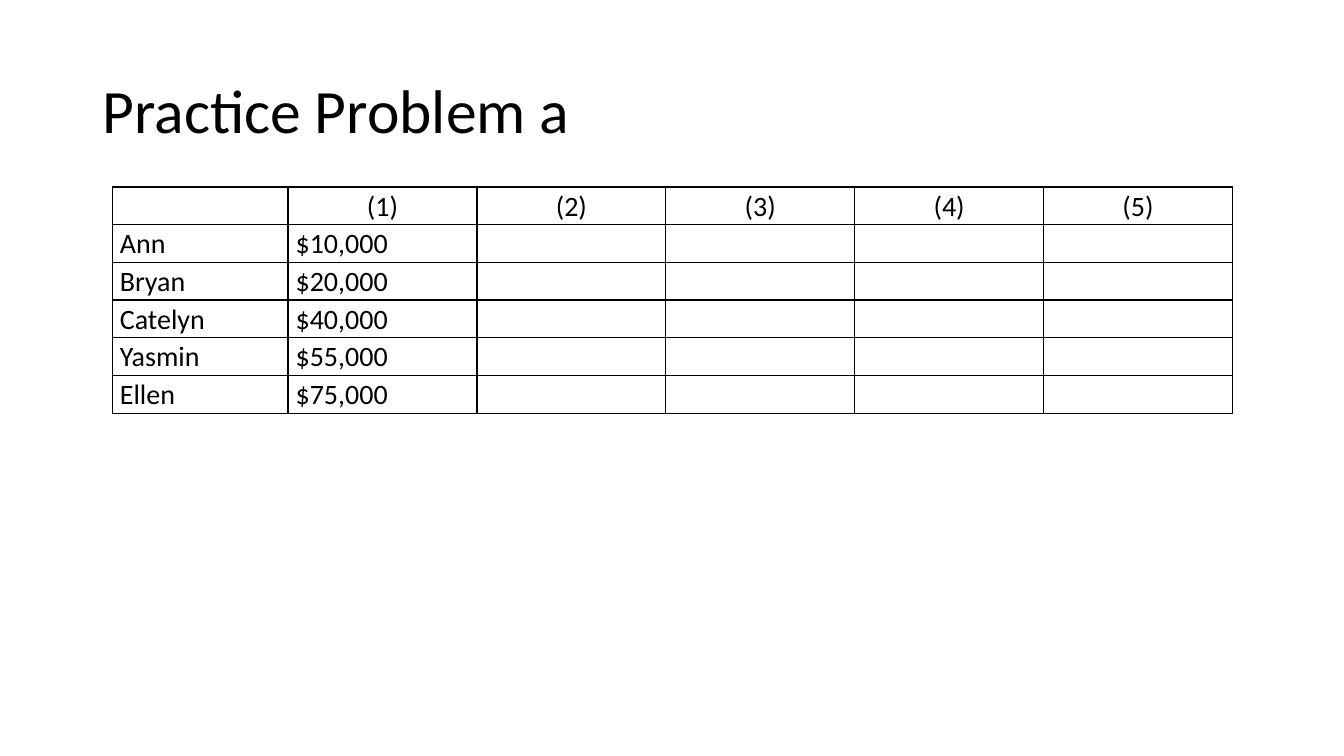
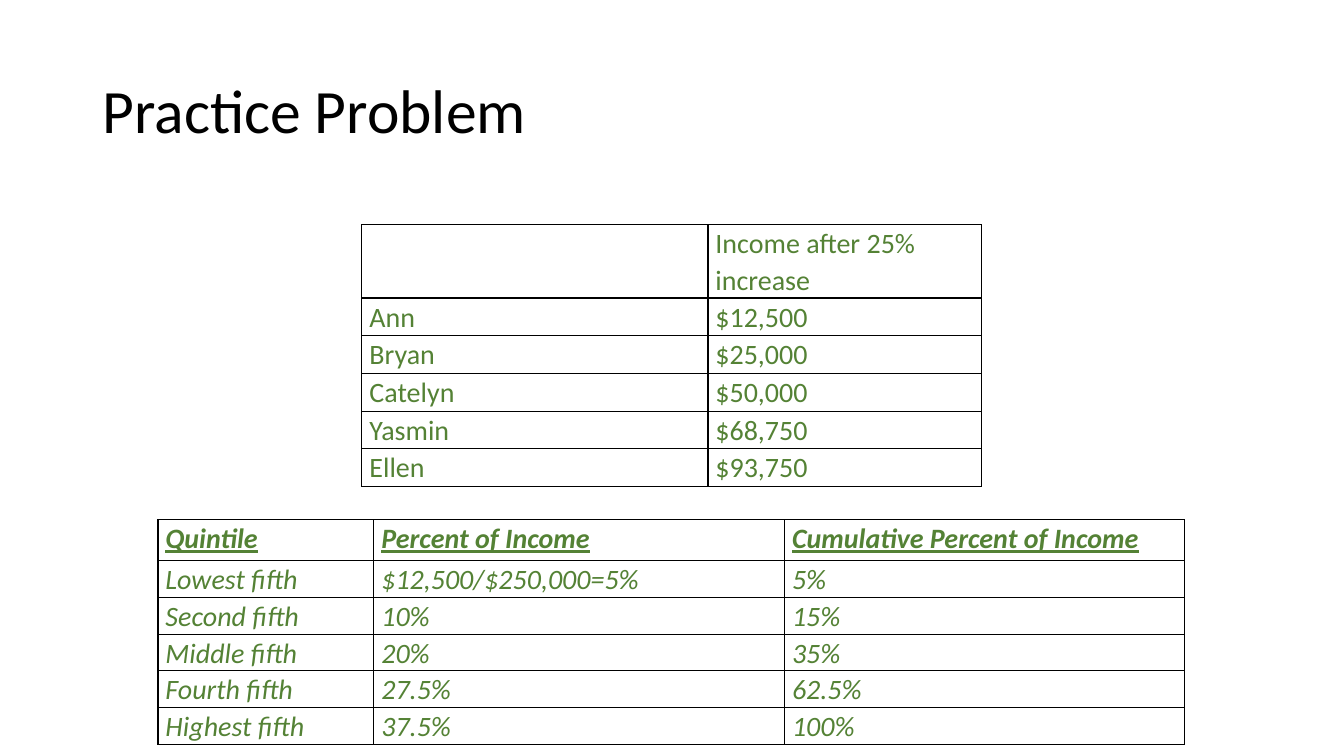
"""Build two practice-problem slides on income distribution."""
from dataclasses import dataclass

from lxml.etree import SubElement
from pptx import Presentation
from pptx.dml.color import RGBColor
from pptx.enum.text import MSO_ANCHOR, PP_ALIGN
from pptx.oxml.ns import qn
from pptx.util import Cm, Pt


@dataclass(frozen=True)
class Theme:
    font: str = "Calibri"
    black: str = "000000"
    green: str = "548235"
    title_size: float = 44
    table_size: float = 20
    border_width: float = 1
    title_spacing: float = 0.9
    table_spacing: float = 1.07


class Deck:
    def __init__(self, theme):
        self.theme = theme
        self.presentation = Presentation()
        self.presentation.slide_width = Cm(33.87)
        self.presentation.slide_height = Cm(19.05)
        self.slide = None

    def add_slide(self, title):
        layout = self.presentation.slide_layouts.get_by_name("Title Only")
        self.slide = self.presentation.slides.add_slide(layout)
        shape = self.slide.shapes.title
        shape.left, shape.top = Cm(2.33), Cm(1.01)
        shape.width, shape.height = Cm(29.21), Cm(3.68)
        shape.text_frame.text = title
        shape.text_frame.vertical_anchor = MSO_ANCHOR.MIDDLE
        paragraph = shape.text_frame.paragraphs[0]
        paragraph.alignment = PP_ALIGN.LEFT
        paragraph.line_spacing = self.theme.title_spacing
        self.format_runs(paragraph, self.theme.title_size, self.theme.black)

    def format_runs(self, paragraph, size, color, bold=False, italic=False, underline=False):
        for run in paragraph.runs:
            run.font.name = self.theme.font
            run.font.size = Pt(size)
            run.font.color.rgb = RGBColor.from_string(color)
            run.font.bold = bold
            run.font.italic = italic
            run.font.underline = underline

    def add_table(self, left, top, column_widths, row_heights, rows, color,
                  header_alignment=PP_ALIGN.LEFT, italic=False, strong_header=False):
        frame = self.slide.shapes.add_table(
            len(rows), len(column_widths), Cm(left), Cm(top),
            Cm(sum(column_widths)), Cm(sum(row_heights)))
        table = frame.table
        table.first_row = table.horz_banding = False
        for column, width in zip(table.columns, column_widths):
            column.width = Cm(width)
        for row, height in zip(table.rows, row_heights):
            row.height = Cm(height)
        for row_index, values in enumerate(rows):
            header = row_index == 0
            for column_index in range(len(column_widths)):
                cell = table.cell(row_index, column_index)
                self.format_cell(cell)
                if column_index >= len(values):
                    continue
                cell.text_frame.text = values[column_index]
                paragraph = cell.text_frame.paragraphs[0]
                paragraph.alignment = header_alignment if header else PP_ALIGN.LEFT
                paragraph.line_spacing = self.theme.table_spacing
                strong = header and strong_header
                self.format_runs(paragraph, self.theme.table_size, color,
                                 strong, italic, strong)

    def format_cell(self, cell):
        cell.margin_left = cell.margin_right = Cm(0.19)
        cell.margin_top = cell.margin_bottom = 0
        properties = cell._tc.get_or_add_tcPr()
        for side in ("lnL", "lnR", "lnT", "lnB"):
            line = SubElement(properties, qn(f"a:{side}"), w=str(Pt(self.theme.border_width)))
            fill = SubElement(line, qn("a:solidFill"))
            SubElement(fill, qn("a:srgbClr"), val=self.theme.black)
        cell.fill.background()


def main():
    theme = Theme()
    deck = Deck(theme)
    names = ["Ann", "Bryan", "Catelyn", "Yasmin", "Ellen"]
    incomes = ["$10,000", "$20,000", "$40,000", "$55,000", "$75,000"]
    raised_incomes = ["$12,500", "$25,000", "$50,000", "$68,750", "$93,750"]
    quintiles = [
        ("Quintile", "Percent of Income", "Cumulative Percent of Income"),
        ("Lowest fifth", "$12,500/$250,000=5%", "5%"),
        ("Second fifth", "10%", "15%"),
        ("Middle fifth", "20%", "35%"),
        ("Fourth fifth", "27.5%", "62.5%"),
        ("Highest fifth", "37.5%", "100%"),
    ]
    income_heights = [0.95] * 6

    deck.add_slide("Practice Problem a")
    header = ["", *(f"({number})" for number in range(1, 6))]
    deck.add_table(2.83, 4.71, [4.43] + [4.76] * 5, income_heights,
                   [header, *zip(names, incomes)], theme.black,
                   header_alignment=PP_ALIGN.CENTER)

    deck.add_slide("Practice Problem")
    deck.add_table(9.12, 5.66, [8.72, 6.9], income_heights,
                   [("", "Income after 25% increase"), *zip(names, raised_incomes)],
                   theme.green)
    deck.add_table(3.98, 13.1, [5.44, 10.35, 10.09], [1.03] + [0.92] * 5,
                   quintiles, theme.green, italic=True, strong_header=True)

    deck.presentation.save("out.pptx")


if __name__ == "__main__":
    main()
